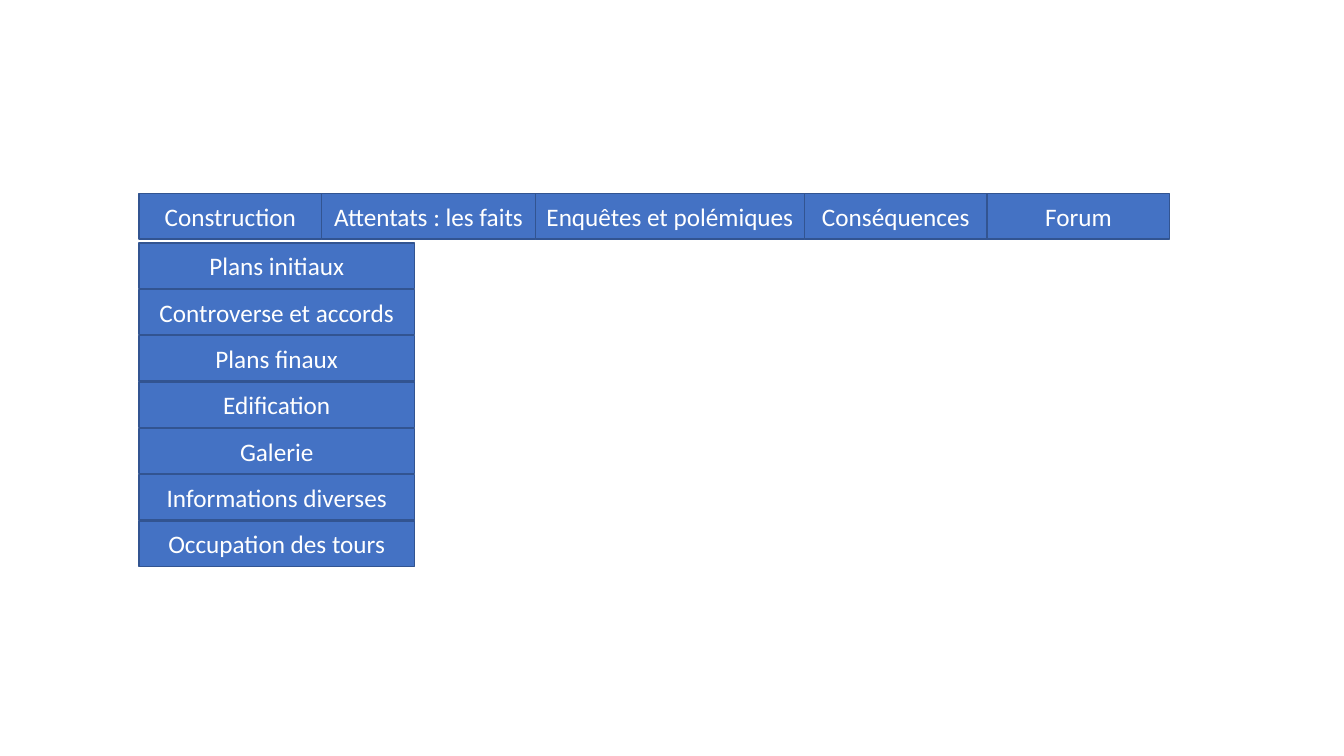
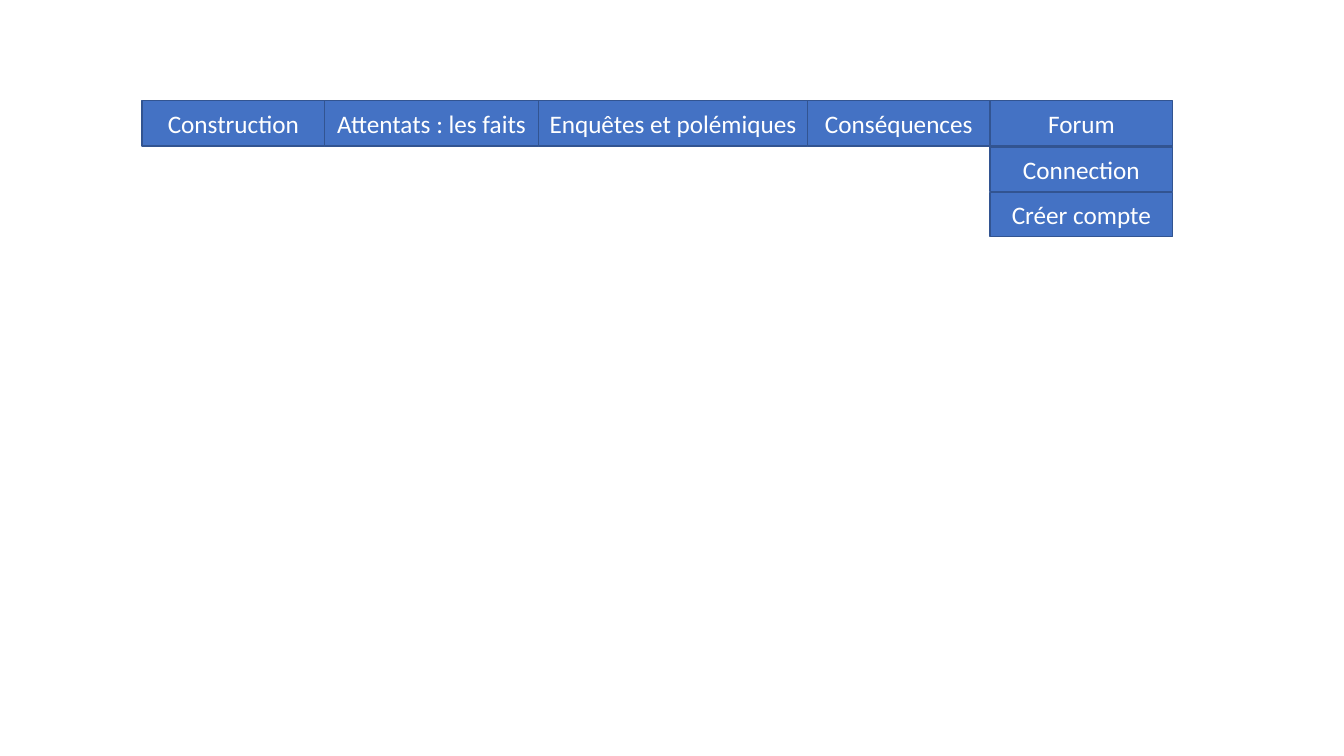
from pptx import Presentation
from pptx.dml.color import RGBColor
from pptx.enum.shapes import MSO_SHAPE
from pptx.enum.text import MSO_ANCHOR, PP_ALIGN
from pptx.util import Pt

PX = 9144
BLUE, DARK_BLUE, WHITE = "4472C4", "325491", "FFFFFF"
TABS = [
    ("Construction", 181),
    ("Attentats : les faits", 212),
    ("Enquêtes et polémiques", 267),
    ("Conséquences", 181),
    ("Forum", 181),
]
MENUS = [
    dict(left=138, top=192, tab_h=45, open_tab="Construction",
         item_top=241, item_w=273, item_h=45, pitch=46,
         items=["Plans initiaux", "Controverse et accords", "Plans finaux",
                "Edification", "Galerie", "Informations diverses",
                "Occupation des tours"]),
    dict(left=141, top=100, tab_h=45, open_tab="Forum",
         item_top=146, item_w=181, item_h=44, pitch=45,
         items=["Connection", "Créer compte"]),
]


def rgb(value):
    return RGBColor.from_string(value)


def add_button(shapes, text, x, y, w, h, *, fill=BLUE, line=DARK_BLUE,
               color=WHITE, size=18, font="Calibri"):
    sp = shapes.add_shape(MSO_SHAPE.RECTANGLE, x * PX, y * PX, w * PX, h * PX)
    sp.shadow.inherit = False
    sp.fill.solid()
    sp.fill.fore_color.rgb = rgb(fill)
    sp.line.color.rgb = rgb(line)
    sp.line.width = Pt(1)
    tf = sp.text_frame
    tf.word_wrap = True
    tf.vertical_anchor = MSO_ANCHOR.MIDDLE
    p = tf.paragraphs[0]
    p.alignment = PP_ALIGN.CENTER
    r = p.add_run()
    r.text = text
    r.font.name = font
    r.font.size = Pt(size)
    r.font.color.rgb = rgb(color)


prs = Presentation()
prs.slide_width = 1333 * PX
prs.slide_height = 750 * PX

for menu in MENUS:
    slide = prs.slides.add_slide(prs.slide_layouts[6])
    shapes = slide.shapes.add_group_shape().shapes
    x = menu["left"]
    for label, width in TABS:
        add_button(shapes, label, x, menu["top"], width, menu["tab_h"])
        if label == menu["open_tab"]:
            item_left = x
        x += width
    for i, label in enumerate(menu["items"]):
        add_button(shapes, label, item_left, menu["item_top"] + i * menu["pitch"],
                   menu["item_w"], menu["item_h"])

prs.save("out.pptx")
